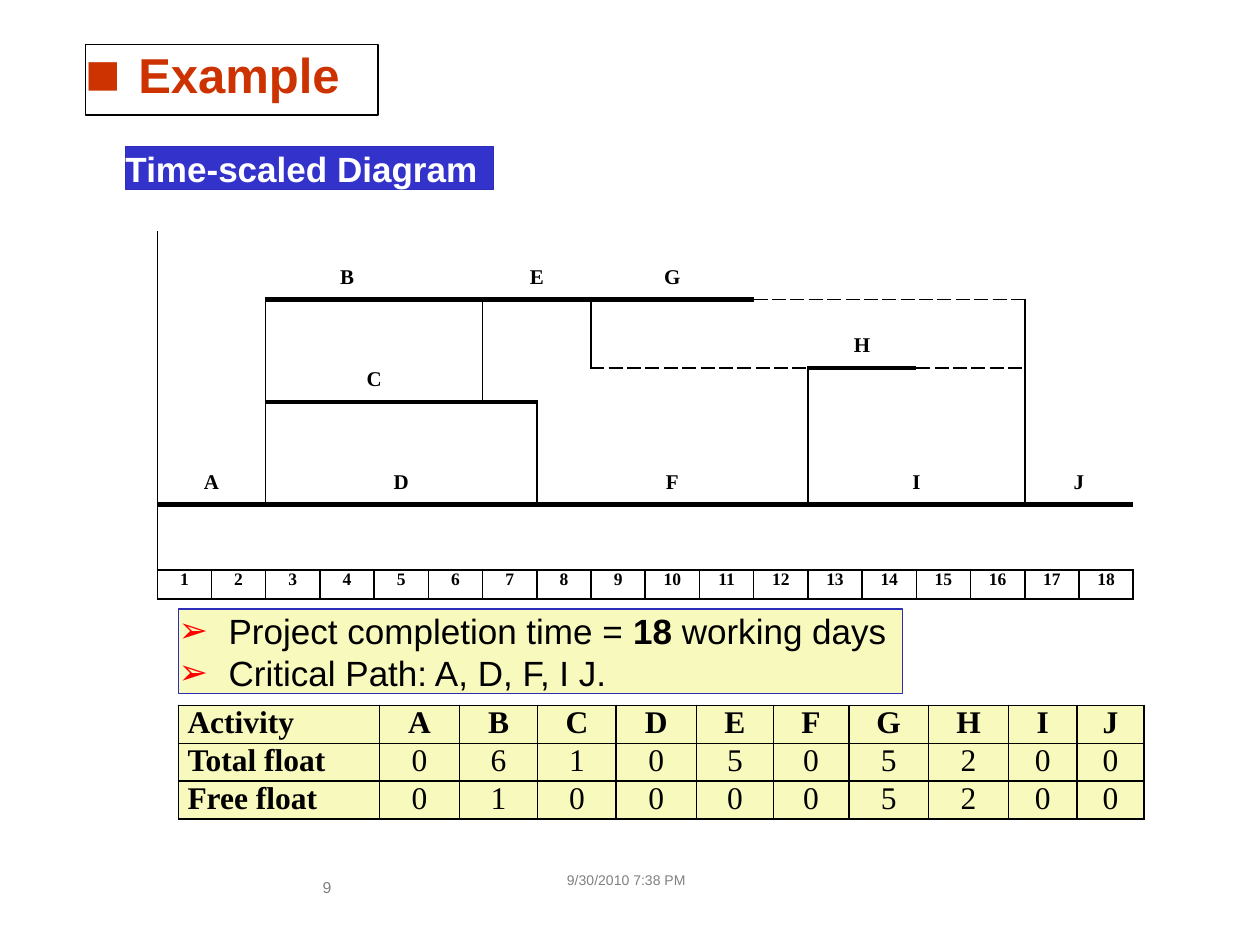
from lxml import etree
from pptx import Presentation
from pptx.dml.color import RGBColor
from pptx.enum.shapes import MSO_SHAPE
from pptx.enum.text import MSO_ANCHOR, PP_ALIGN
from pptx.oxml.ns import qn
from pptx.util import Cm, Pt

BLACK, WHITE, GREY = "000000", "FFFFFF", "808080"
ORANGE, RED, BLUE, NAVY, CREAM = "CC3300", "FF0000", "3333CC", "2D2DB9", "F8F9BD"
SANS, SERIF = "Arial", "Times New Roman"
NO_STYLE = "{2D5ABB26-0587-4C30-8999-92F81FD0307C}"

# Boxes: left, top, width, height in cm
TITLE_BOX = (1.73, 0.9, 5.89, 1.42)
SUBTITLE_BOX = (2.53, 2.96, 7.42, 0.86)
RESULT_BOX = (3.6, 12.28, 14.6, 1.7)
DATE_BOX = (11.43, 17.57, 4.04, 0.48)
NUMBER_BOX = (6.1, 17.7, 0.99, 0.86)

RESULTS = [
    [("Project completion time = ", False), ("18", True), (" working days", False)],
    [("Critical Path: A, D, F, I J.", False)],
]

FLOAT_ROWS = [
    ["Activity", *"ABCDEFGHIJ"],
    ["Total float", *"0610505200"],
    ["Free float", *"0100005200"],
]
FLOAT_PLACE = (3.6, 14.22)
FLOAT_COLS = [4.05, 1.61, 1.58, 1.58, 1.62, 1.55, 1.52, 1.61, 1.61, 1.38, 1.35]
FLOAT_HEIGHTS = [0.76] * 3

DAYS = 18
DIAGRAM_PLACE = (3.17, 4.66)
DIAGRAM_COLS = [19.68 / DAYS] * DAYS
DIAGRAM_HEIGHTS = [0.69] * 8 + [1.32, 0.58]
# Activity label: row, first day column
LABELS = {
    "B": (1, 2), "E": (1, 6), "G": (1, 8), "H": (3, 12), "C": (4, 2),
    "A": (7, 0), "D": (7, 2), "F": (7, 7), "I": (7, 12), "J": (7, 16),
}
# Merged cells: rows, then (first column, columns spanned)
SPANS = [
    ((0, 1), [(0, 2), (2, 3), (6, 2), (8, 3)]),
    ((2,), [(0, 2), (2, 4), (12, 2)]),
    ((3, 4), [(0, 2), (2, 4), (12, 2), (14, 2)]),
    ((5, 6, 7), [(0, 2), (2, 5), (7, 5), (12, 4), (16, 2)]),
    ((8,), [(0, DAYS)]),
]
# Merged blocks: row, column, rows spanned, columns spanned
MERGES = [(row, col, 1, span) for rows, spans in SPANS for row in rows for col, span in spans]
MERGES += [(0, col, 2, 1) for col in (5, *range(11, DAYS))]
MERGES += [(3, col, 2, 1) for col in (16, 17)]

THICK, THIN, DASHED = (3, "solid"), (1, "solid"), (1, "dash")
# Bars and floats: grid line below row, start day, end day, pen
BARS = [
    (2, 2, 11, THICK), (2, 11, 16, DASHED),
    (4, 8, 12, DASHED), (4, 12, 14, THICK), (4, 14, 16, DASHED),
    (5, 2, 7, THICK), (8, 0, DAYS, THICK),
    (9, 0, DAYS, THIN), (10, 0, DAYS, THIN),
]
# Event links: day line, first row, end row
LINKS = [(0, 0, 9), (2, 2, 8), (6, 2, 5), (8, 2, 4), (7, 5, 8), (12, 4, 8), (16, 2, 8)]
LINKS += [(day, 9, 10) for day in range(DAYS + 1)]


def rgb(color):
    """Turn a hex string into a colour."""
    return RGBColor.from_string(color)


def add_run(paragraph, text, size, color, bold=False, font=SANS):
    """Add one formatted run."""
    run = paragraph.add_run()
    run.text = text
    run.font.size, run.font.bold, run.font.name = Pt(size), bold, font
    run.font.color.rgb = rgb(color)


def add_box(slide, place, fill=None, line=None, anchor=MSO_ANCHOR.TOP):
    """Add a margin-free rectangle and return its text frame."""
    place = [Cm(value) for value in place]
    if fill:
        box = slide.shapes.add_shape(MSO_SHAPE.RECTANGLE, *place)
        box.shadow.inherit = False
        box.fill.solid()
        box.fill.fore_color.rgb = rgb(fill)
        box.line.color.rgb = rgb(line)
        box.line.width = Pt(0.75)
    else:
        box = slide.shapes.add_textbox(*place)
    frame = box.text_frame
    frame.word_wrap, frame.vertical_anchor = True, anchor
    frame.margin_left = frame.margin_right = frame.margin_top = frame.margin_bottom = 0
    frame.paragraphs[0].alignment = PP_ALIGN.LEFT
    return frame


def add_bullet(paragraph, char, color, indent, percent=100):
    """Give a paragraph a coloured bullet with a hanging indent."""
    paragraph.alignment = PP_ALIGN.LEFT
    props = paragraph._p.get_or_add_pPr()
    props.set("marL", str(Cm(indent)))
    props.set("indent", str(-Cm(indent)))
    bullet_color = etree.SubElement(props, qn("a:buClr"))
    etree.SubElement(bullet_color, qn("a:srgbClr"), val=color)
    etree.SubElement(props, qn("a:buSzPct"), val=str(percent * 1000))
    etree.SubElement(props, qn("a:buFont"), typeface=SANS)
    etree.SubElement(props, qn("a:buChar"), char=char)


def add_plain_table(slide, place, widths, heights):
    """Add an unstyled table with the given column widths and row heights."""
    table = slide.shapes.add_table(
        len(heights), len(widths), Cm(place[0]), Cm(place[1]),
        Cm(sum(widths)), Cm(sum(heights))).table
    table.first_row = table.horz_banding = False
    table._tbl.tblPr.find(qn("a:tableStyleId")).text = NO_STYLE
    for column, width in zip(table.columns, widths):
        column.width = Cm(width)
    for row, height in zip(table.rows, heights):
        row.height = Cm(height)
    return table


def style_cell(cell, borders, fill=None):
    """Set margins, borders by side (L, R, T, B) and fill of a cell."""
    cell.margin_left = cell.margin_right = Cm(0.18)
    cell.margin_top = cell.margin_bottom = 0
    props = cell._tc.get_or_add_tcPr()
    for side in "LRTB":
        width, dash = borders.get(side, THIN)
        line = etree.SubElement(props, qn("a:ln" + side), w=str(Pt(width)))
        if side in borders:
            solid = etree.SubElement(line, qn("a:solidFill"))
            etree.SubElement(solid, qn("a:srgbClr"), val=BLACK)
            etree.SubElement(line, qn("a:prstDash"), val=dash)
        else:
            etree.SubElement(line, qn("a:noFill"))
    if fill:
        cell.fill.solid()
        cell.fill.fore_color.rgb = rgb(fill)
    else:
        cell.fill.background()


def write_cell(cell, text, size, bold=True, align=PP_ALIGN.CENTER):
    """Write the text of a table cell."""
    paragraph = cell.text_frame.paragraphs[0]
    paragraph.alignment = align
    add_run(paragraph, text, size, BLACK, bold, SERIF)


def diagram_borders():
    """Collect the borders of every diagram cell from bars and links."""
    origins = {(row + i, col + j): (row, col)
               for row, col, rows, cols in MERGES for i in range(rows) for j in range(cols)
               if row + i == row or cols == 1}
    borders = {}

    def mark(row, col, side, pen):
        for key in {(row, col), origins.get((row, col), (row, col))}:
            borders.setdefault(key, {})[side] = pen

    for line, start, end, pen in BARS:
        for col in range(start, end):
            mark(line - 1, col, "B", pen)
            mark(line, col, "T", pen)
    for line, start, end in LINKS:
        for row in range(start, end):
            mark(row, line - 1, "R", THIN)
            mark(row, line, "L", THIN)
    return borders


def add_diagram(slide):
    """Build the time-scaled diagram as a table."""
    table = add_plain_table(slide, DIAGRAM_PLACE, DIAGRAM_COLS, DIAGRAM_HEIGHTS)
    borders = diagram_borders()
    for row in range(len(DIAGRAM_HEIGHTS)):
        for col in range(DAYS):
            cell = table.cell(row, col)
            style_cell(cell, borders.get((row, col), {}))
            paragraph = cell.text_frame.paragraphs[0]._p
            etree.SubElement(paragraph, qn("a:endParaRPr"), sz="1000")
    for row, col, rows, cols in MERGES:
        table.cell(row, col).merge(table.cell(row + rows - 1, col + cols - 1))
    for label, place in LABELS.items():
        write_cell(table.cell(*place), label, 12)
    for day in range(DAYS):
        write_cell(table.cell(9, day), str(day + 1), 10)


def add_float_table(slide):
    """Build the table of total and free floats."""
    table = add_plain_table(slide, FLOAT_PLACE, FLOAT_COLS, FLOAT_HEIGHTS)
    for r, values in enumerate(FLOAT_ROWS):
        for c, value in enumerate(values):
            style_cell(table.cell(r, c), dict.fromkeys("LRTB", THIN), CREAM)
            write_cell(table.cell(r, c), value, 18, r == 0 or c == 0,
                       PP_ALIGN.CENTER if c else PP_ALIGN.LEFT)


def build_slide(slide):
    """Place every part of the slide from back to front."""
    add_run(add_box(slide, DATE_BOX).paragraphs[0], "9/30/2010 7:38 PM", 8, GREY)
    number = add_box(slide, NUMBER_BOX).paragraphs[0]
    number.alignment = PP_ALIGN.CENTER
    add_run(number, "9", 9, GREY)
    title = add_box(slide, TITLE_BOX, WHITE, BLACK).paragraphs[0]
    title.space_before = Pt(5.6)
    add_bullet(title, "■", ORANGE, 1.06, 120)
    add_run(title, "Example", 28, ORANGE, True)
    subtitle = add_box(slide, SUBTITLE_BOX, BLUE, NAVY, MSO_ANCHOR.MIDDLE).paragraphs[0]
    add_run(subtitle, "Time-scaled Diagram", 20, WHITE, True)
    add_float_table(slide)
    results = add_box(slide, RESULT_BOX, CREAM, NAVY, MSO_ANCHOR.MIDDLE)
    for i, runs in enumerate(RESULTS):
        paragraph = results.add_paragraph() if i else results.paragraphs[0]
        add_bullet(paragraph, "➢", RED, 1.01)
        for text, bold in runs:
            add_run(paragraph, text, 20, BLACK, bold)
    add_diagram(slide)


prs = Presentation()
prs.slide_width, prs.slide_height = Cm(25.4), Cm(19.05)
build_slide(prs.slides.add_slide(prs.slide_layouts[6]))
prs.save("out.pptx")
